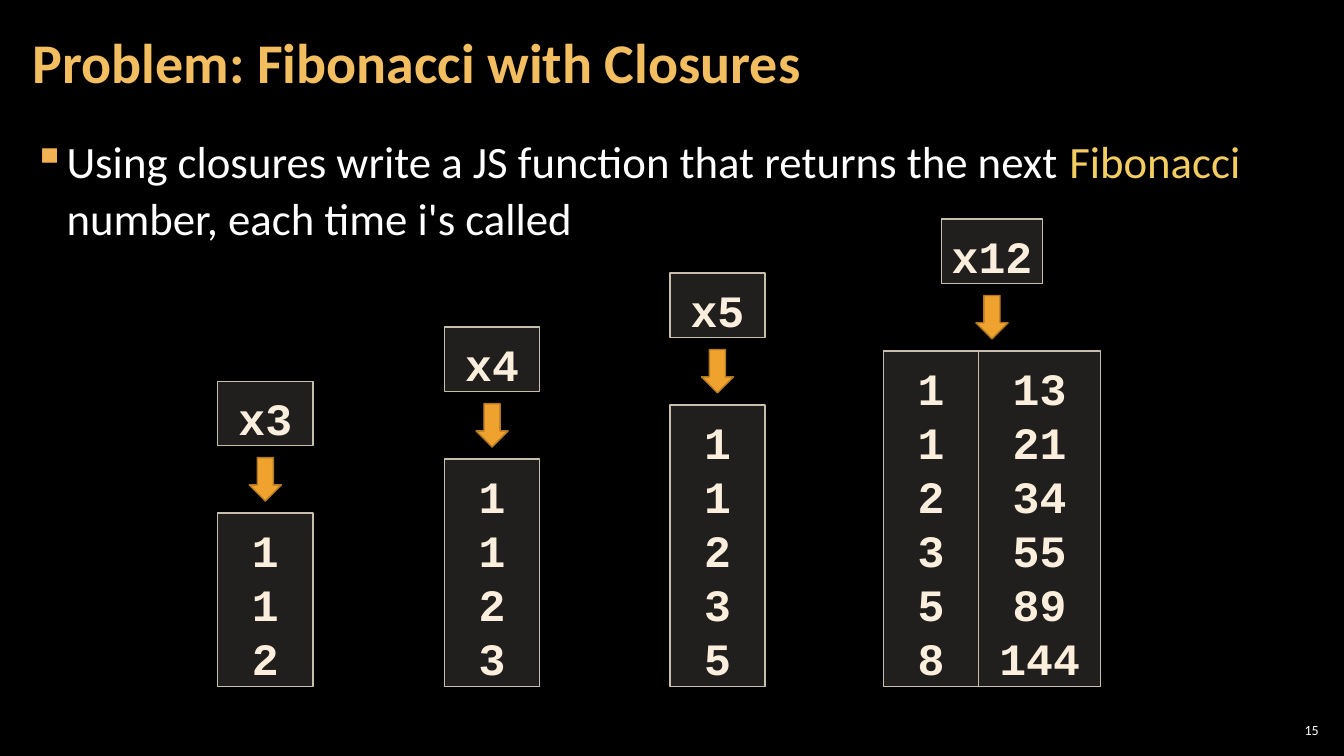
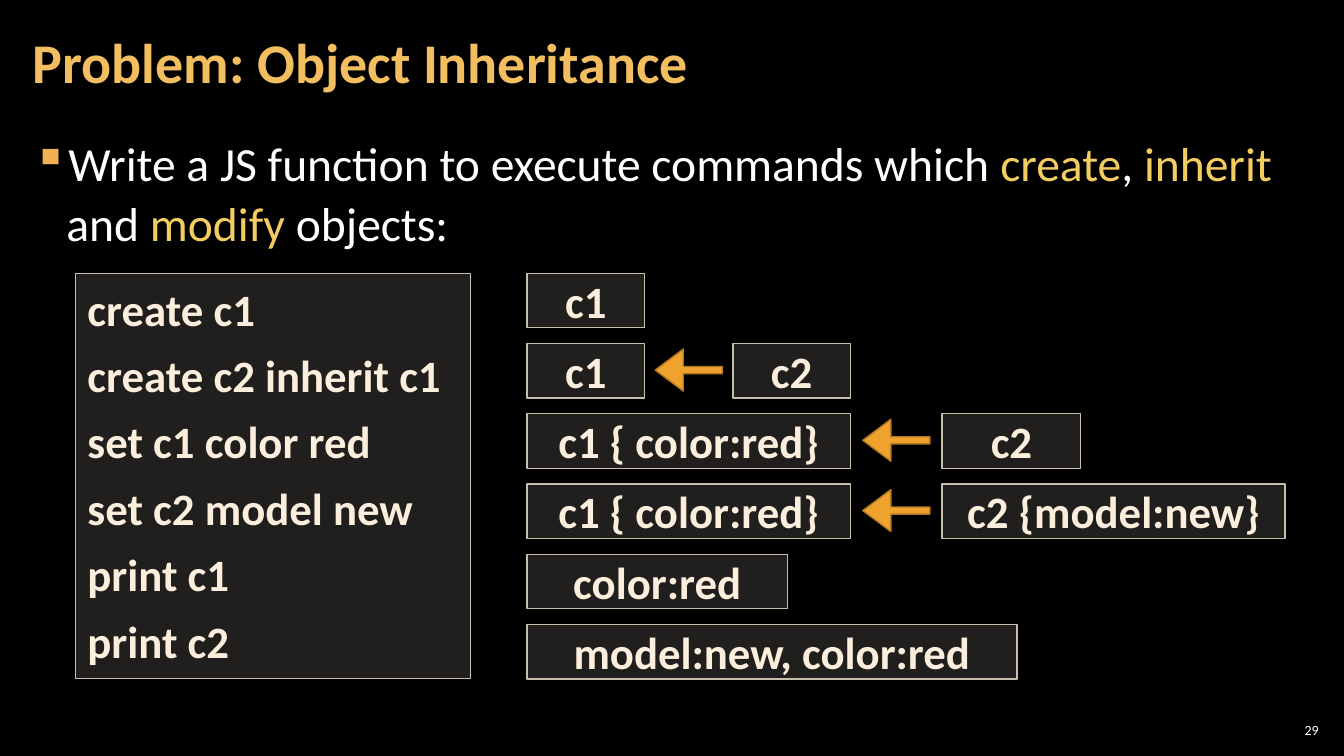
import pptx
import pptx.util
import pptx.dml.color
import pptx.enum.shapes
import pptx.enum.text
import pptx.oxml.ns
from lxml import etree

Pt = pptx.util.Pt
SHAPE = pptx.enum.shapes.MSO_SHAPE
ALIGN = pptx.enum.text.PP_ALIGN
ANCHOR = pptx.enum.text.MSO_ANCHOR

# Content: in body text, spans marked True are highlighted
CLOSURES = {
    "title": "Problem: Fibonacci with Closures",
    "number": "15",
    "body": [("Using closures write a JS function that returns the next ", False),
             ("Fibonacci", True), (" number, each time i's called", False)],
    "body_size": 32,
    "body_width": 896,
}
INHERITANCE = {
    "title": "Problem: Object Inheritance",
    "number": "29",
    "body": [("Write a JS function to execute commands which ", False),
             ("create", True), (", ", False), ("inherit", True),
             (" and ", False), ("modify", True), (" objects:", False)],
    "body_size": 34,
    "body_width": 930,
}
# Call count, centre, label width, then (width, numbers) of each column
SEQUENCES = [
    ("x3", 189.5, 68, [(68, [1, 1, 2])]),
    ("x4", 351.5, 68, [(68, [1, 1, 2, 3])]),
    ("x5", 512.5, 68, [(68, [1, 1, 2, 3, 5])]),
    ("x12", 708.6, 72, [(68, [1, 1, 2, 3, 5, 8]),
                        (87, [13, 21, 34, 55, 89, 144])]),
]
COMMANDS = ["create c1", "create c2 inherit c1", "set c1 color red",
            "set c2 model new", "print c1", "print c2"]
# One row per command: (left, width, text) of each object
OBJECT_ROWS = [
    [(376.5, 84, "c1")],
    [(376.5, 84, "c1"), (523.5, 84, "c2")],
    [(376.5, 231, "c1 { color:red}"), (673, 99, "c2")],
    [(376.5, 231, "c1 { color:red}"), (673, 245, "c2 {model:new}")],
    [(376.5, 186, "color:red")],
    [(376.5, 350, "model:new, color:red")],
]


class Theme:
    background = "000000"
    text = "FFFFFF"
    title = "F3BE60"
    highlight = "F3CD60"
    bullet = "F2B254"
    panel, panel_line, panel_text = "D9D5C7", "C7BFAC", "FBEEDC"
    panel_opacity = 15
    arrow, arrow_line = "F0A22E", "B27822"
    font, code_font = "Calibri", "Courier New"
    title_size, panel_size, number_size = 40, 32, 10


def rgb(value):
    return pptx.dml.color.RGBColor.from_string(value)


def add_xml(parent, tag, **attributes):
    return etree.SubElement(parent, pptx.oxml.ns.qn(tag), attributes)


def set_all(target, values):
    for name, value in values.items():
        setattr(target, name, value)


def set_frame(shape, insets, anchor=ANCHOR.TOP):
    left, top, right, bottom = map(Pt, insets)
    set_all(shape.text_frame, {
        "word_wrap": True, "vertical_anchor": anchor, "margin_left": left,
        "margin_top": top, "margin_right": right, "margin_bottom": bottom})
    return shape.text_frame


def add_span(para, text, size, color, font=Theme.font, bold=False):
    span = para.add_run()
    span.text = text
    set_all(span.font, {"size": Pt(size), "name": font, "bold": bold})
    span.font.color.rgb = rgb(color)


def add_text(page, at, anchor, insets=(8.5, 3, 8.5, 3)):
    box = page.shapes.add_textbox(*map(Pt, at))
    return set_frame(box, insets, anchor).paragraphs[0]


def add_figure(page, kind, at, fill, line):
    figure = page.shapes.add_shape(kind, *map(Pt, at))
    figure.shadow.inherit = False
    figure.fill.solid()
    figure.fill.fore_color.rgb = rgb(fill)
    figure.line.color.rgb = rgb(line)
    figure.line.width = Pt(1)
    return figure


def add_arrow(page, kind, at, adjustments=()):
    arrow = add_figure(page, kind, at, Theme.arrow, Theme.arrow_line)
    for index, value in enumerate(adjustments):
        arrow.adjustments[index] = value


def add_panel(page, at, lines, insets, font=Theme.font, align=ALIGN.CENTER,
              pitch=38.4, gap=0):
    panel = add_figure(page, SHAPE.RECTANGLE, at, Theme.panel, Theme.panel_line)
    color = panel.fill._xPr.find(".//" + pptx.oxml.ns.qn("a:srgbClr"))
    add_xml(color, "a:alpha", val=str(Theme.panel_opacity * 1000))
    frame = set_frame(panel, insets)
    for index, line in enumerate(lines):
        para = frame.add_paragraph() if index else frame.paragraphs[0]
        set_all(para, {"alignment": align, "line_spacing": Pt(pitch),
                       "space_before": Pt(gap if index else 0)})
        add_span(para, str(line), Theme.panel_size, Theme.panel_text, font, True)


def add_page(deck, content):
    """Background, title, bulleted body and page number."""
    page = deck.slides.add_slide(deck.slide_layouts[6])
    page.background.fill.solid()
    page.background.fill.fore_color.rgb = rgb(Theme.background)

    para = add_text(page, (15, 3, 754, 87), ANCHOR.MIDDLE)
    para.line_spacing = 0.9
    add_span(para, content["title"], Theme.title_size, Theme.title, bold=True)

    para = add_text(page, (15, 90.7, content["body_width"], 438), ANCHOR.TOP)
    properties = para._p.get_or_add_pPr()
    set_all(para, {"line_spacing": 1.05, "space_after": Pt(6)})
    properties.set("marL", str(Pt(24)))
    properties.set("indent", str(-Pt(24)))
    bullet_color = add_xml(properties, "a:buClr")
    add_xml(bullet_color, "a:srgbClr", val=Theme.bullet)
    add_xml(properties, "a:buChar", char="▪")
    for text, marked in content["body"]:
        add_span(para, text, content["body_size"],
                 Theme.highlight if marked else Theme.text)

    para = add_text(page, (911, 514, 34, 15), ANCHOR.MIDDLE, (3, 3, 3, 3))
    para.alignment = ALIGN.RIGHT
    add_span(para, content["number"], Theme.number_size, Theme.text)
    return page


def draw_sequences(page):
    """Number columns on one baseline, each under an arrow and a label."""
    base, pitch, padding, gap = 490.3, 38.6, 8, 8.6
    label_height, arrow_width, arrow_height = 46, 23, 31
    style = {"insets": (4, 6.6, 4, 0), "font": Theme.code_font, "pitch": pitch}
    for label, centre, label_width, columns in SEQUENCES:
        height = len(columns[0][1]) * pitch + padding
        top = base - height
        left = centre - sum(width for width, _ in columns) / 2
        for width, numbers in columns:
            add_panel(page, (left, top, width, height), numbers, **style)
            left += width
        arrow_top = top - gap - arrow_height
        add_arrow(page, SHAPE.DOWN_ARROW, (centre - arrow_width / 2, arrow_top,
                                           arrow_width, arrow_height))
        add_panel(page, (centre - label_width / 2, arrow_top - gap - label_height,
                         label_width, label_height), [label], **style)


def draw_inheritance(page):
    """Command list, and the objects after each command."""
    top, pitch, height = 195.2, 50.2, 38.9
    arrow_width, arrow_height = 48, 30
    add_panel(page, (54, top, 282, 289.5), COMMANDS, (8.5, 5.7, 8.5, 5.7),
              align=ALIGN.LEFT, gap=9)
    for index, row in enumerate(OBJECT_ROWS):
        row_top = top + index * pitch
        for left, width, text in row:
            add_panel(page, (left, row_top, width, height), [text], (7, 0, 7, 0))
        for (left, width, _), (next_left, _, _) in zip(row, row[1:]):
            centre = (left + width + next_left) / 2
            add_arrow(page, SHAPE.LEFT_ARROW,
                      (centre - arrow_width / 2,
                       row_top + (height - arrow_height) / 2 - 0.5,
                       arrow_width, arrow_height), (0.17, 0.67))


def main():
    deck = pptx.Presentation()
    set_all(deck, {"slide_width": Pt(960), "slide_height": Pt(540)})
    draw_sequences(add_page(deck, CLOSURES))
    draw_inheritance(add_page(deck, INHERITANCE))
    deck.save("out.pptx")


if __name__ == "__main__":
    main()
